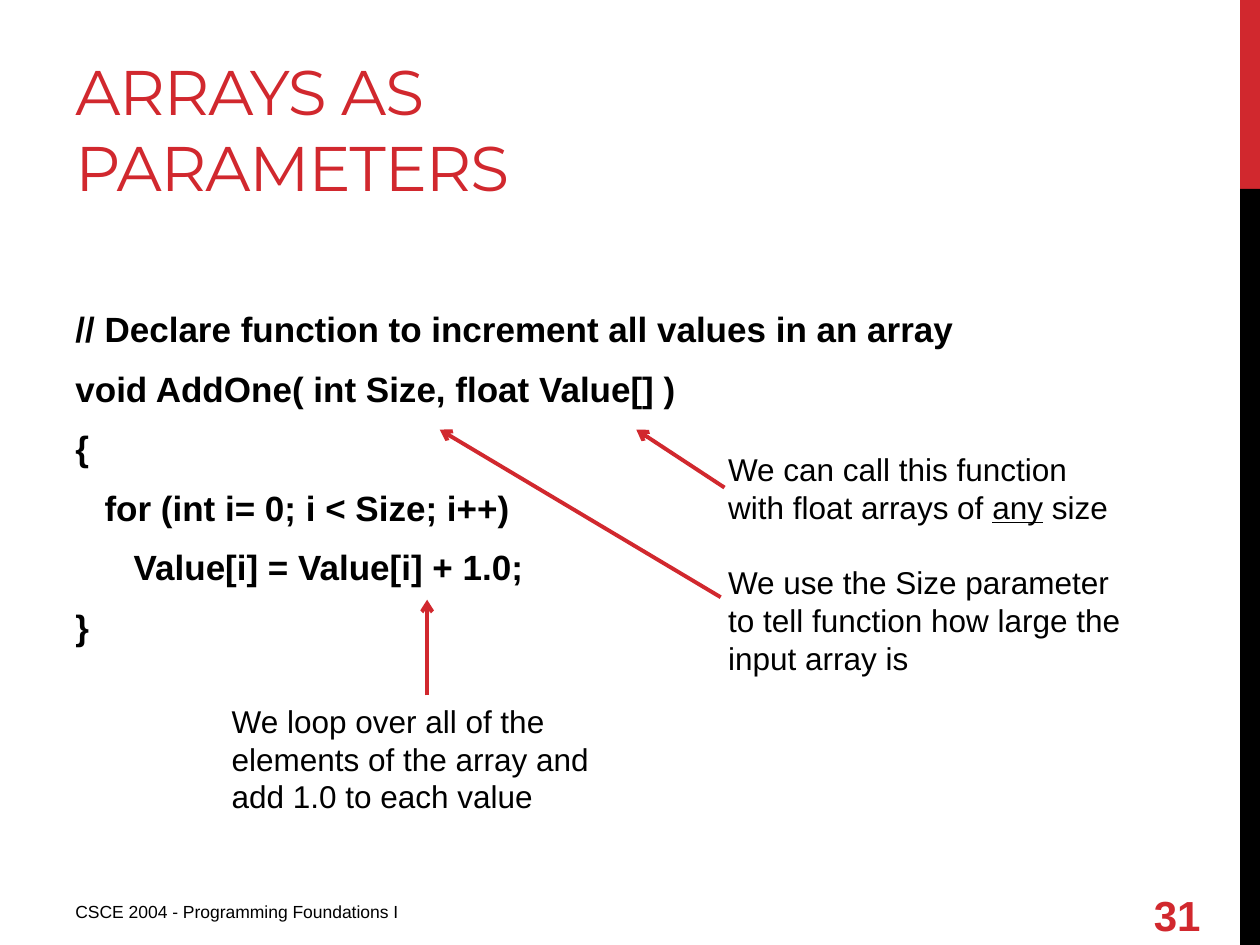
from lxml.etree import SubElement
from pptx import Presentation
from pptx.dml.color import RGBColor as RGB
from pptx.enum.shapes import MSO_CONNECTOR as CONN, MSO_SHAPE as SHAPE
from pptx.enum.text import MSO_ANCHOR as ANCHOR
from pptx.oxml.ns import qn
from pptx.util import Pt

RED, BLACK = RGB(0xD1, 0x28, 0x2E), RGB(0, 0, 0)
THEME = {
    "title": {"name": "Montserrat", "size": Pt(36), "color": RED},
    "code": {"name": "Arial", "size": Pt(20), "color": BLACK, "bold": True},
    "note": {"name": "Arial", "size": Pt(18), "color": BLACK},
    "footer": {"name": "Arial", "size": Pt(10), "color": BLACK},
    "number": {"name": "Arial", "size": Pt(24), "color": RED, "bold": True},
}
SPACING = {
    "code": {"line_spacing": Pt(24), "space_after": Pt(10)},
    "note": {"line_spacing": Pt(21.6)},
}
NOTE_GAP = Pt(21.6)
TRACKING = "-60"  # title, hundredths of a point

# Content: style, (left, top, width, height), anchor, paragraphs
# A paragraph is a string, or a list of (text, underlined) runs
CODE = [
    "// Declare function to increment all values in an array",
    "void AddOne( int Size, float Value[] )",
    "{",
    "   for (int i= 0; i < Size; i++)",
    "      Value[i] = Value[i] + 1.0;",
    "}",
]
PARAMETER_NOTES = [
    [("We can call this function with float arrays of ", False),
     ("any", True), (" size", False)],
    "We use the Size parameter to tell function how large the input array is",
]
LOOP_NOTE = ["We loop over all of the elements of the array and add 1.0 to each value"]
TEXTS = [
    ("title", (36, 12.24, 455.76, 108), ANCHOR.BOTTOM, ["ARRAYS AS PARAMETERS"]),
    ("code", (36, 172.2, 600, 310), ANCHOR.TOP, CODE),
    ("footer", (36, 511.2, 270, 22.3), ANCHOR.TOP,
     ["CSCE 2004 - Programming Foundations I"]),
    ("number", (652.32, 508.32, 53.28, 28.8), ANCHOR.MIDDLE, ["31"]),
    ("note", (408.96, 253.44, 238.32, 138.24), ANCHOR.TOP, PARAMETER_NOTES),
    ("note", (125.28, 397.44, 238.32, 72.72), ANCHOR.TOP, LOOP_NOTE),
]
# Arrows: tail x, y, then head x, y
ARROWS = [
    (411.84, 341.28, 251.28, 245.52),
    (414, 278.64, 363.6, 245.52),
    (244.08, 397.44, 244.08, 342.72),
]
WIDTH, HEIGHT, BAR_LEFT, BAR_SPLIT = 720, 540, 708.6, 108
BARS = [(RED, 0, BAR_SPLIT), (BLACK, BAR_SPLIT, HEIGHT)]


def add_text(s, style, box, anchor, paragraphs):
    tf = s.shapes.add_textbox(*map(Pt, box)).text_frame
    tf.word_wrap, tf.vertical_anchor = True, anchor
    for i, content in enumerate(paragraphs):
        p = tf.add_paragraph() if i else tf.paragraphs[0]
        for key, value in SPACING.get(style, {}).items():
            setattr(p, key, value)
        if i and style == "note":
            p.space_before = NOTE_GAP
        runs = [(content, False)] if isinstance(content, str) else content
        for text, underlined in runs:
            r = p.add_run()
            r.text = text
            for key, value in THEME[style].items():
                if key == "color":
                    r.font.color.rgb = value
                else:
                    setattr(r.font, key, value)
            if underlined:
                r.font.underline = True
            if style == "title":
                r.font._element.set("spc", TRACKING)


def add_arrow(s, ends):
    line = s.shapes.add_connector(CONN.STRAIGHT, *map(Pt, ends))
    line.line.color.rgb, line.line.width = RED, Pt(2.25)
    SubElement(line.line._get_or_add_ln(), qn("a:tailEnd"), type="arrow")
    SubElement(line._element.spPr, qn("a:effectLst"))


def main():
    prs = Presentation()
    prs.slide_width, prs.slide_height = Pt(WIDTH), Pt(HEIGHT)
    s = prs.slides.add_slide(prs.slide_layouts[6])

    # Side bar
    for color, top, bottom in BARS:
        sp = s.shapes.add_shape(SHAPE.RECTANGLE, Pt(BAR_LEFT), Pt(top),
                                Pt(WIDTH - BAR_LEFT), Pt(bottom - top))
        sp.shadow.inherit = False
        sp.fill.solid()
        sp.fill.fore_color.rgb = color
        sp.line.fill.background()

    # Title, code, notes and footer
    for text in TEXTS:
        add_text(s, *text)

    # Arrows from notes to code
    for ends in ARROWS:
        add_arrow(s, ends)

    prs.save("out.pptx")


if __name__ == "__main__":
    main()
